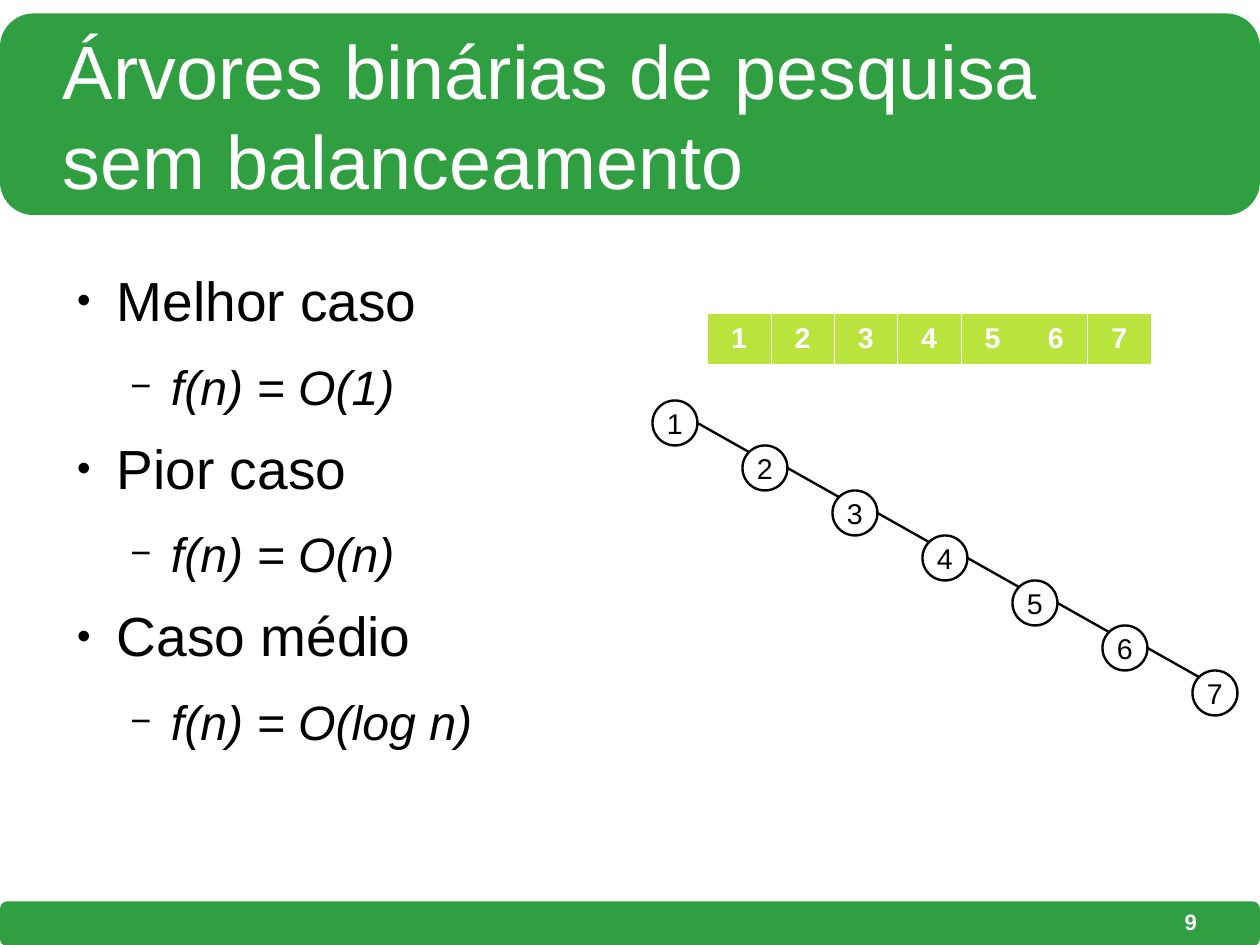
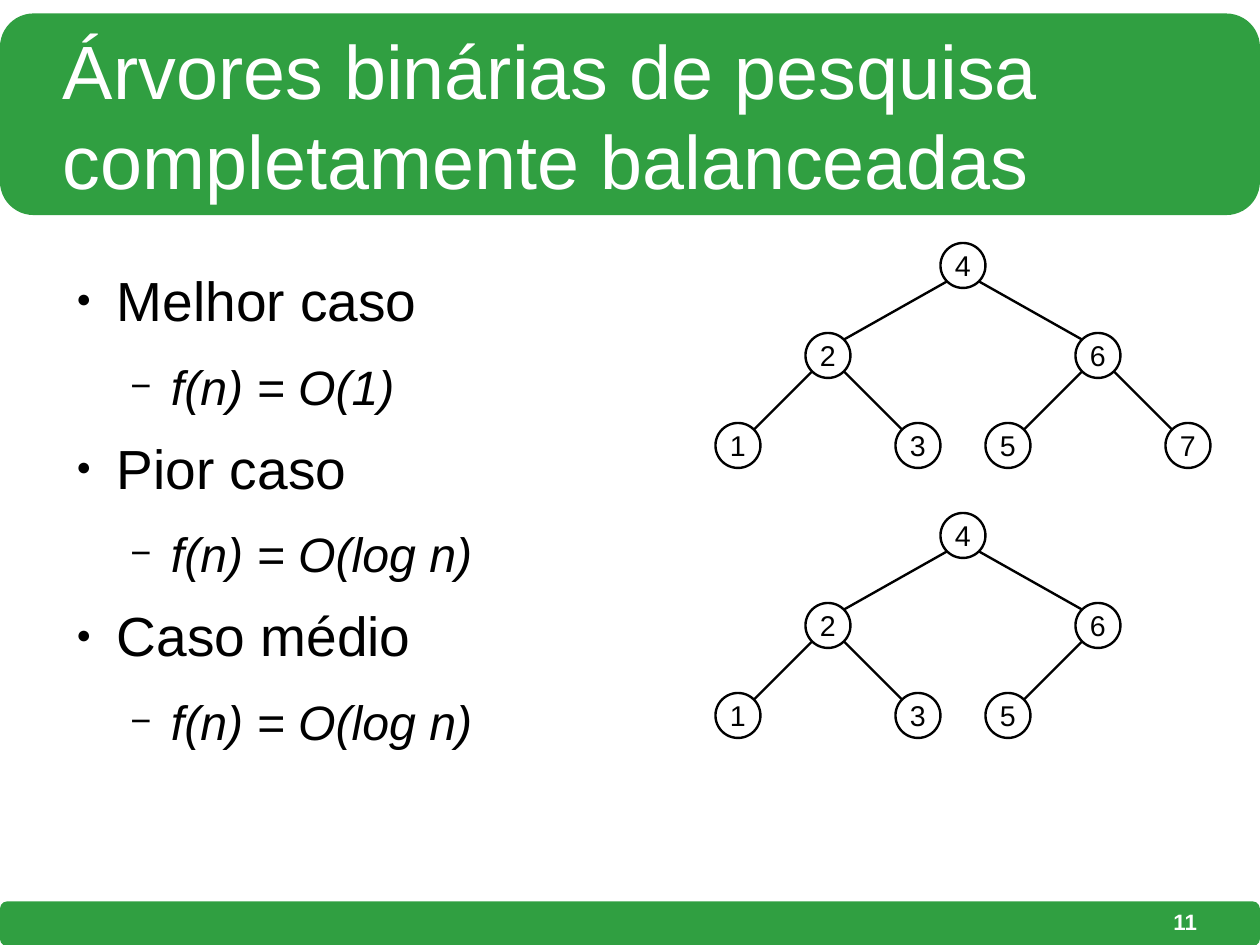
from itertools import pairwise
from math import cos, radians, sin

from lxml.etree import SubElement as Sub
from pptx import Presentation
from pptx.dml.color import RGBColor as RGB
from pptx.enum.shapes import MSO_CONNECTOR as Line, MSO_SHAPE as Kind
from pptx.enum.text import MSO_ANCHOR as Anchor, MSO_AUTO_SIZE as Auto, PP_ALIGN as Align
from pptx.oxml.ns import qn
from pptx.util import Cm, Pt

# The grid unit is one centimetre: 28 columns by 21 rows.
COLS, ROWS = 28, 21
GREEN, LIME, WHITE, BLACK = "309F41", "BBE33D", "FFFFFF", "000000"
FONT = "Arial"
HEAD = (0, 0.3, COLS, 4.48)
FOOT = (0, 20.03, COLS, 1)
TITLE = (1.4, 0.66, 25.2, 3.76)
BODY = (1.4, 5.92, 12.3, 12.17)
PAGE = (20.07, 19.99, 6.53, 1)
CELLS = (15.72, 6.96, 9.86, 1.14)
LEVELS = [
    dict(size=34.7, italic=False, left=1.2, after=15.3, mark="●", share=45),
    dict(size=30.4, italic=True, left=2.4, after=12.2, mark="−", share=75),
]
HANG = 0.9


def grid(box):
    return [Cm(v) for v in box]


def color(hue):
    return RGB.from_string(hue)


def put(obj, **vals):
    for key, val in vals.items():
        setattr(obj, key, val)


def style(par, size, hue, **vals):
    put(par.font, name=FONT, size=Pt(size), **vals)
    par.font.color.rgb = color(hue)


def frame(tf, pad=0, **vals):
    sides = ("left", "top", "right", "bottom")
    put(tf, **{f"margin_{side}": Cm(pad) for side in sides}, **vals)


def bands(slide):
    """Move the two green bands to the layout, behind its placeholders."""
    tree = slide.slide_layout.shapes.element
    for num, box in enumerate((HEAD, FOOT), 101):
        band = slide.shapes.add_shape(Kind.ROUNDED_RECTANGLE, *grid(box))
        band.shadow.inherit = False
        band.fill.solid()
        band.fill.fore_color.rgb = color(GREEN)
        band.line.fill.background()
        band.element.xpath("./p:nvSpPr/p:cNvPr")[0].set("id", str(num))
        tree.insert(2, band.element)


def title(slide, text):
    head = slide.shapes.title
    put(head, **dict(zip(("left", "top", "width", "height"), grid(TITLE))))
    head.text = text
    frame(head.text_frame, word_wrap=True, auto_size=Auto.NONE,
          vertical_anchor=Anchor.MIDDLE)
    par = head.text_frame.paragraphs[0]
    par.alignment = Align.LEFT
    style(par, 47.6, WHITE)


def page(slide, num):
    tf = slide.shapes.add_textbox(*grid(PAGE)).text_frame
    frame(tf, word_wrap=True, vertical_anchor=Anchor.MIDDLE)
    par = tf.paragraphs[0]
    put(par, text=str(num), alignment=Align.RIGHT)
    style(par, 14, WHITE, bold=True)


def bullet(par, left, mark, share):
    props = par._p.get_or_add_pPr()
    props.set("marL", str(Cm(left)))
    props.set("indent", str(-Cm(HANG)))
    Sub(Sub(props, qn("a:buClr")), qn("a:srgbClr"), val=BLACK)
    Sub(props, qn("a:buSzPct"), val=str(share * 1000))
    Sub(props, qn("a:buFont"), typeface=FONT)
    Sub(props, qn("a:buChar"), char=mark)


def body(slide, cases):
    """List each case with its cost one level below."""
    tf = slide.shapes.add_textbox(*grid(BODY)).text_frame
    frame(tf, word_wrap=True)
    rows = [(text, lev) for case in cases for lev, text in enumerate(case)]
    for i, (text, lev) in enumerate(rows):
        par = tf.add_paragraph() if i else tf.paragraphs[0]
        form = LEVELS[lev]
        put(par, text=text, level=lev, alignment=Align.JUSTIFY,
            space_after=Pt(form["after"]))
        style(par, form["size"], BLACK, italic=form["italic"])
        bullet(par, form["left"], form["mark"], form["share"])


def border(cell, side, hue):
    edge = Sub(cell._tc.get_or_add_tcPr(), qn(f"a:ln{side}"), w=str(Pt(0.06)))
    if hue:
        Sub(Sub(edge, qn("a:solidFill")), qn("a:srgbClr"), val=hue)
    else:
        Sub(edge, qn("a:noFill"))


def keys(slide, box, vals, joined):
    """Draw a row of keys; no border parts the joined pair."""
    table = slide.shapes.add_table(1, len(vals), *grid(box)).table
    put(table, first_row=False, horz_banding=False)
    for cell, val in zip(table.rows[0].cells, vals):
        open_side = dict(zip(joined, "RL")).get(val)
        for side in "LRTB":
            border(cell, side, None if side == open_side else WHITE)
        cell.fill.solid()
        cell.fill.fore_color.rgb = color(LIME)
        cell.vertical_anchor = Anchor.MIDDLE
        par = cell.text_frame.paragraphs[0]
        put(par, text=str(val), alignment=Align.CENTER)
        style(par, 18, WHITE, bold=True)


def node(shapes, x, y, val):
    ring = shapes.add_shape(Kind.OVAL, *grid((x, y, 1, 1)))
    ring.shadow.inherit = False
    ring.fill.background()
    ring.line.color.rgb = color(BLACK)
    ring.line.width = Pt(1.5)
    frame(ring.text_frame, 0.2, word_wrap=False, vertical_anchor=Anchor.MIDDLE)
    par = ring.text_frame.paragraphs[0]
    put(par, text=str(val), alignment=Align.CENTER)
    style(par, 18, BLACK)


def rim(spot, turn):
    """Point on a node's circle, clockwise from its right side."""
    angle = radians(turn)
    return spot[0] + 0.5 + cos(angle) / 2, spot[1] + 0.5 + sin(angle) / 2


def edge(shapes, start, end):
    line = shapes.add_connector(Line.STRAIGHT, *grid(start + end))
    line.line.color.rgb = color(BLACK)
    line.line.width = Pt(1.5)
    Sub(line.element.spPr, qn("a:effectLst"))


def graph(slide, spots, links):
    """Draw nodes and links; a link is two nodes and two rim angles."""
    shapes = slide.shapes.add_group_shape().shapes
    for top, low, out, into in links:
        edge(shapes, rim(spots[top], out), rim(spots[low], into))
    for val, spot in spots.items():
        node(shapes, *spot, val)


def chain(slide, x, y, count):
    spots = {i + 1: (x + 2 * i, y + i) for i in range(count)}
    graph(slide, spots, [(a, b, 0, 225) for a, b in pairwise(spots)])


def tree(slide, x, y, count):
    """Draw a search tree of three levels, with keys 1 to count."""
    places = {4: (5, 0), 2: (2, 2), 6: (8, 2),
              1: (0, 4), 3: (4, 4), 5: (6, 4), 7: (10, 4)}
    spots = {k: (x + dx, y + dy) for k, (dx, dy) in places.items() if k <= count}
    pairs = [(4, 2), (4, 6), (2, 1), (2, 3), (6, 5), (6, 7)]
    graph(slide, spots, [(a, b, 135, 315) if b < a else (a, b, 45, 225)
                         for a, b in pairs if b in spots])


def sheet(deck, text, num, worst):
    slide = deck.slides.add_slide(deck.slide_layouts[5])
    title(slide, text)
    body(slide, [("Melhor caso", "f(n) = O(1)"),
                 ("Pior caso", f"f(n) = O({worst})"),
                 ("Caso médio", "f(n) = O(log n)")])
    page(slide, num)
    return slide


def main():
    deck = Presentation()
    put(deck, slide_width=Cm(COLS), slide_height=Cm(ROWS))

    plain = sheet(deck, "Árvores binárias de pesquisa sem balanceamento", 9, "n")
    bands(plain)
    keys(plain, CELLS, range(1, 8), (5, 6))
    chain(plain, 14.5, 8.9, 7)

    full = sheet(deck, "Árvores binárias de pesquisa completamente balanceadas",
                 11, "log n")
    for y, count in ((5.4, 7), (11.4, 6)):
        tree(full, 15.9, y, count)

    deck.save("out.pptx")


if __name__ == "__main__":
    main()
